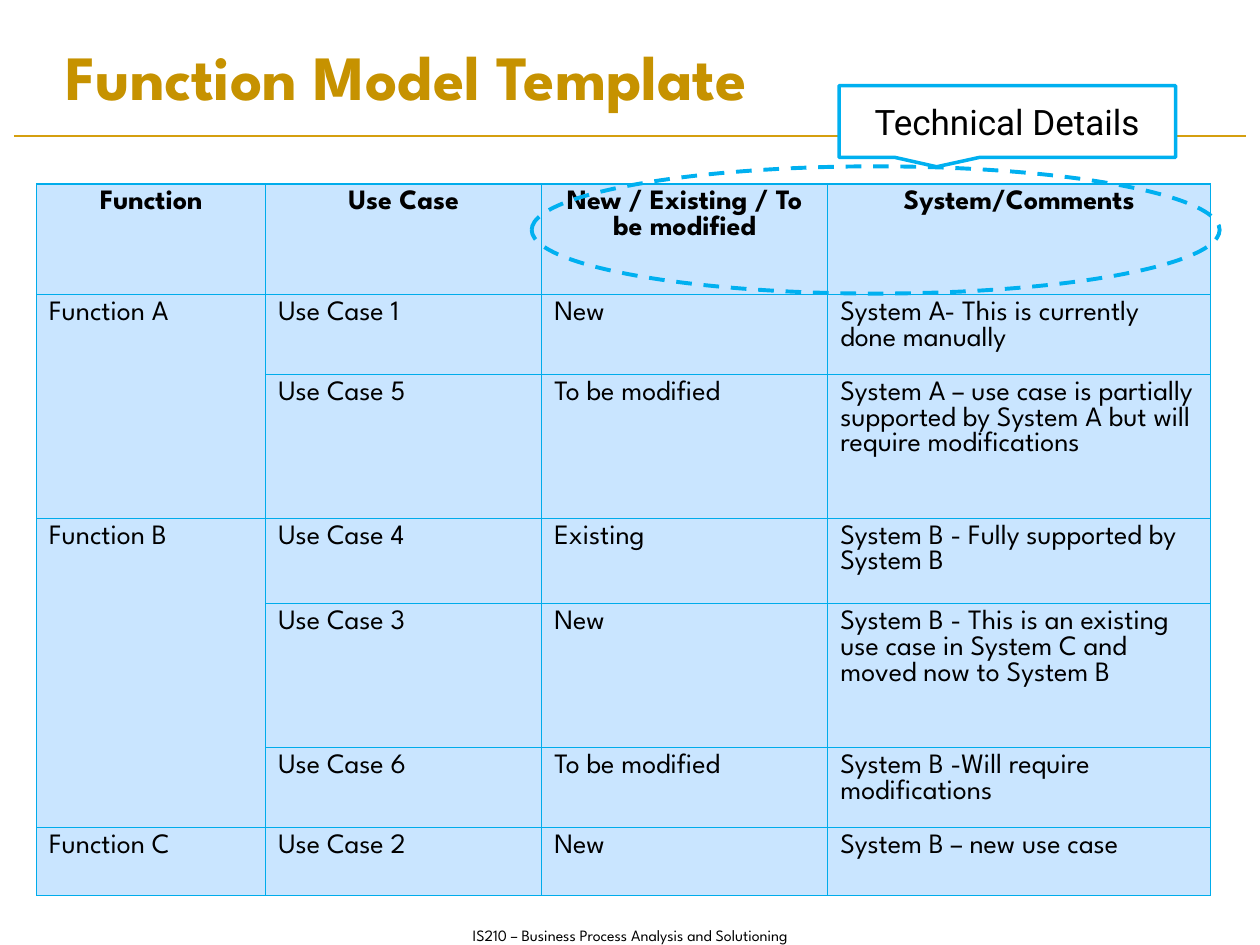
from dataclasses import dataclass

from lxml import etree
from pptx import Presentation
from pptx.dml.color import RGBColor
from pptx.enum.dml import MSO_LINE
from pptx.enum.shapes import MSO_CONNECTOR, MSO_SHAPE
from pptx.enum.text import MSO_ANCHOR, MSO_AUTO_SIZE, PP_ALIGN
from pptx.oxml.ns import qn
from pptx.util import Inches, Pt

LEFT, CENTER = PP_ALIGN.LEFT, PP_ALIGN.CENTER
TOP, MIDDLE = MSO_ANCHOR.TOP, MSO_ANCHOR.MIDDLE
DASH = MSO_LINE.DASH

BLACK = RGBColor(0x00, 0x00, 0x00)
WHITE = RGBColor(0xFF, 0xFF, 0xFF)
GOLD = RGBColor(0xC6, 0x92, 0x00)
RULE_GOLD = RGBColor(0xD5, 0x9F, 0x0F)
BRIGHT_BLUE = RGBColor(0x00, 0xB0, 0xF0)
BORDER_BLUE = RGBColor(0x00, 0xAC, 0xEB)
CELL_BLUE = RGBColor(0xC9, 0xE5, 0xFF)

BODY_FONT, CALLOUT_FONT = "League Spartan", "Roboto"
SLIDE_WIDTH, SLIDE_HEIGHT = 10, 7.5
RULE_MARGIN, RULE_TOP = 0.11, 1.08
TABLE_LEFT, TABLE_TOP = 0.29, 1.46
COLUMN_WIDTHS = (1.82, 2.19, 2.27, 3.04)
HEADER_HEIGHT = 0.88
HEADINGS = ("Function", "Use Case", "New / Existing / To be modified", "System/Comments")


@dataclass(frozen=True)
class UseCase:
    name: str
    status: str
    comment: str
    height: float


@dataclass(frozen=True)
class BusinessFunction:
    name: str
    use_cases: tuple[UseCase, ...]


FUNCTIONS = (
    BusinessFunction("Function A", (
        UseCase("Use Case 1", "New", "System A- This is currently done manually", 0.62),
        UseCase("Use Case 5", "To be modified",
                "System A – use case is partially supported by System A "
                "but will require modifications", 1.14),
    )),
    BusinessFunction("Function B", (
        UseCase("Use Case 4", "Existing", "System B - Fully supported by System B", 0.68),
        UseCase("Use Case 3", "New",
                "System B - This is an existing use case in System C "
                "and moved now to System B", 1.14),
        UseCase("Use Case 6", "To be modified", "System B -Will require modifications", 0.62),
    )),
    BusinessFunction("Function C", (
        UseCase("Use Case 2", "New", "System B – new use case", 0.54),
    )),
)


def write_text(frame, text: str, *, size: float, font: str = BODY_FONT,
               color: RGBColor = BLACK, bold: bool = False, align=LEFT) -> None:
    para = frame.paragraphs[0]
    para.alignment = align
    span = para.add_run()
    span.text = text
    span.font.name, span.font.size, span.font.bold = font, Pt(size), bold
    span.font.color.rgb = color


def place(shape, left: float, top: float, width: float, height: float) -> None:
    shape.left, shape.top = Inches(left), Inches(top)
    shape.width, shape.height = Inches(width), Inches(height)


def add_rule(page) -> None:
    rule = page.shapes.add_connector(
        MSO_CONNECTOR.STRAIGHT, Inches(RULE_MARGIN), Inches(RULE_TOP),
        Inches(SLIDE_WIDTH - RULE_MARGIN), Inches(RULE_TOP))
    rule.line.color.rgb = RULE_GOLD
    rule.line.width = Pt(0.75)
    etree.SubElement(rule._element.spPr, qn("a:effectLst"))


def add_outline(page, kind, area: tuple[float, ...], weight: float):
    shape = page.shapes.add_shape(kind, *map(Inches, area))
    shape.shadow.inherit = False
    shape.fill.background()
    shape.line.color.rgb = BRIGHT_BLUE
    shape.line.width = Pt(weight)
    return shape


def style_cell(cell) -> None:
    properties = cell._tc.get_or_add_tcPr()
    for side in ("lnL", "lnR", "lnT", "lnB"):
        border = etree.SubElement(properties, qn(f"a:{side}"), w=str(Pt(0.75)))
        fill = etree.SubElement(border, qn("a:solidFill"))
        etree.SubElement(fill, qn("a:srgbClr"), val=str(BORDER_BLUE))
    cell.fill.solid()
    cell.fill.fore_color.rgb = CELL_BLUE
    cell.vertical_anchor = TOP


def add_function_table(page) -> None:
    heights = [HEADER_HEIGHT] + [case.height for function in FUNCTIONS
                                 for case in function.use_cases]
    table = page.shapes.add_table(
        len(heights), len(COLUMN_WIDTHS), Inches(TABLE_LEFT), Inches(TABLE_TOP),
        Inches(sum(COLUMN_WIDTHS)), Inches(sum(heights))).table
    table.horz_banding = False
    for column, width in zip(table.columns, COLUMN_WIDTHS):
        column.width = Inches(width)
    for row, height in zip(table.rows, heights):
        row.height = Inches(height)
    for cell in table.iter_cells():
        style_cell(cell)

    # Header row
    for column, heading in enumerate(HEADINGS):
        write_text(table.cell(0, column).text_frame, heading,
                   size=16, bold=True, align=CENTER)

    # One merged function cell beside its use cases
    row = 1
    for function in FUNCTIONS:
        first, last = row, row + len(function.use_cases) - 1
        if last > first:
            table.cell(first, 0).merge(table.cell(last, 0))
        write_text(table.cell(first, 0).text_frame, function.name, size=16)
        for case in function.use_cases:
            for column, text in enumerate((case.name, case.status, case.comment), 1):
                write_text(table.cell(row, column).text_frame, text, size=16)
            row += 1


def main() -> None:
    deck = Presentation()
    deck.slide_width, deck.slide_height = Inches(SLIDE_WIDTH), Inches(SLIDE_HEIGHT)
    page = deck.slides.add_slide(deck.slide_layouts[5])

    # Title and rule
    add_rule(page)
    title = page.shapes.title
    place(title, 0.42, 0.28, 7.17, 0.64)
    title.text_frame.vertical_anchor = MIDDLE
    title.text_frame.auto_size = MSO_AUTO_SIZE.NONE
    write_text(title.text_frame, "Function Model Template", size=36, color=GOLD, bold=True)

    # Footer
    footer = page.shapes.add_textbox(*map(Inches, (1.64, 7.3, 6.72, 0.25)))
    footer.text_frame.word_wrap = True
    write_text(footer.text_frame, "IS210 – Business Process Analysis and Solutioning",
               size=9, align=CENTER)

    add_function_table(page)

    # Highlight and callout over the technical columns
    highlight = add_outline(page, MSO_SHAPE.OVAL, (4.22, 1.32, 5.46, 1.01), 2.25)
    highlight.line.dash_style = DASH
    callout = add_outline(page, MSO_SHAPE.RECTANGULAR_CALLOUT, (6.66, 0.68, 2.67, 0.57), 2)
    callout.adjustments[0], callout.adjustments[1] = -0.21, 0.63
    callout.fill.solid()
    callout.fill.fore_color.rgb = WHITE
    callout.text_frame.vertical_anchor = MIDDLE
    write_text(callout.text_frame, "Technical Details", size=20,
               font=CALLOUT_FONT, align=CENTER)

    deck.save("out.pptx")


if __name__ == "__main__":
    main()
